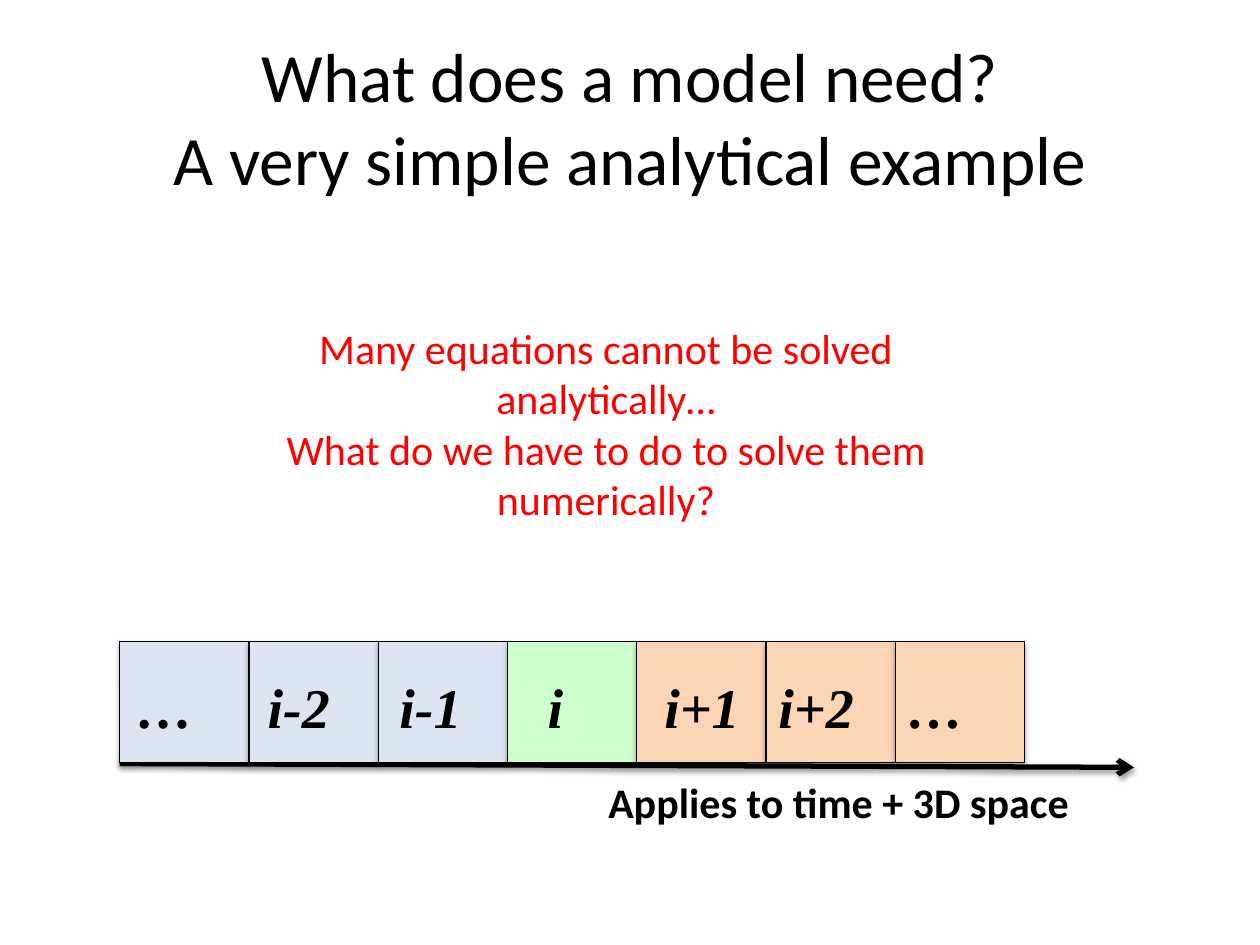
from copy import deepcopy

from pptx import Presentation
from pptx.dml.color import RGBColor
from pptx.enum.shapes import MSO_CONNECTOR, MSO_SHAPE
from pptx.enum.text import MSO_ANCHOR, PP_ALIGN
from pptx.oxml import parse_xml
from pptx.oxml.ns import nsdecls, qn
from pptx.util import Inches, Pt

BLACK = RGBColor(0x00, 0x00, 0x00)
RED = RGBColor(0xFF, 0x00, 0x00)
PALE_BLUE = RGBColor(0xDC, 0xE6, 0xF2)
PALE_GREEN = RGBColor(0xCC, 0xFF, 0xCC)
PALE_ORANGE = RGBColor(0xFC, 0xD5, 0xB5)

TITLE_FORMAT = {"name": "Calibri", "size": Pt(39.6)}
QUESTION_FORMAT = {"name": "Calibri", "size": Pt(24)}
CAPTION_FORMAT = {"name": "Calibri", "size": Pt(24), "bold": True}
INDEX_FORMAT = {"name": "Times New Roman", "size": Pt(32), "bold": True, "italic": True}

GRID_LEFT, GRID_TOP = 0.95, 5.09
COLUMN_WIDTH, ROW_HEIGHT = 1.026, 0.96
LABEL_DROP = 0.2

CELLS = [
    ("…", PALE_BLUE, 0.04, 0.8),
    ("i-2", PALE_BLUE, 0.05, 0.85),
    ("i-1", PALE_BLUE, 0.07, 0.85),
    ("i", PALE_GREEN, 0.22, 0.48),
    ("i+1", PALE_ORANGE, 0.12, 0.96),
    ("i+2", PALE_ORANGE, 0, 0.96),
    ("…", PALE_ORANGE, 0, 0.8),
]


def column_left(column):
    return GRID_LEFT + column * COLUMN_WIDTH


def format_paragraph(para, values, color, align):
    para.alignment = align
    for span in para.runs:
        for name, value in values.items():
            setattr(span.font, name, value)
        span.font.color.rgb = color
    for line_break in para._p.findall(qn("a:br")):
        line_break.append(deepcopy(para.runs[0]._r.rPr))


def add_shadow(shape, opacity, distance):
    properties = shape._element.spPr
    for effects in properties.findall(qn("a:effectLst")):
        properties.remove(effects)
    properties.append(parse_xml(
        f'<a:effectLst {nsdecls("a")}>'
        f'<a:outerShdw blurRad="{Pt(3.1)}" dist="{Pt(distance)}" dir="5400000" rotWithShape="0">'
        f'<a:srgbClr val="{BLACK}"><a:alpha val="{opacity * 1000}"/></a:srgbClr>'
        "</a:outerShdw></a:effectLst>"))


def set_title(slide, text):
    title = slide.shapes.title
    title.left, title.top, title.width, title.height = map(Inches, (0.5, 0.3, 9, 1.25))
    frame = title.text_frame
    frame.vertical_anchor = MSO_ANCHOR.MIDDLE
    frame.text = text
    format_paragraph(frame.paragraphs[0], TITLE_FORMAT, BLACK, PP_ALIGN.CENTER)


def add_text(slide, area, text, values, color=BLACK, align=PP_ALIGN.LEFT):
    box = slide.shapes.add_textbox(*map(Inches, area))
    frame = box.text_frame
    frame.word_wrap = True
    frame.text = text
    for para in frame.paragraphs:
        format_paragraph(para, values, color, align)


def add_axis(slide, start, end):
    axis = slide.shapes.add_connector(MSO_CONNECTOR.STRAIGHT, *map(Inches, start + end))
    axis.line.color.rgb = BLACK
    axis.line.width = Pt(3)
    axis.line._get_or_add_ln().append(parse_xml(f'<a:tailEnd {nsdecls("a")} type="arrow"/>'))
    add_shadow(axis, 38, 1.6)


def add_cell(slide, column, color):
    area = (column_left(column), GRID_TOP, COLUMN_WIDTH, ROW_HEIGHT)
    cell = slide.shapes.add_shape(MSO_SHAPE.RECTANGLE, *map(Inches, area))
    cell.fill.solid()
    cell.fill.fore_color.rgb = color
    cell.line.color.rgb = BLACK
    cell.line.width = Pt(0.75)
    add_shadow(cell, 35, 1.8)


def main():
    deck = Presentation()
    deck.slide_width, deck.slide_height = Inches(10), Inches(7.5)
    slide = deck.slides.add_slide(deck.slide_layouts[5])
    set_title(slide, "What does a model need?\vA very simple analytical example")
    add_text(
        slide, (1.71, 2.51, 6.2, 1.72),
        "Many equations cannot be solved analytically…\n"
        "What do we have to do to solve them numerically?",
        QUESTION_FORMAT, RED, PP_ALIGN.CENTER)
    add_axis(slide, (GRID_LEFT, 6.06), (9, 6.09))
    for column, (_, color, _, _) in enumerate(CELLS):
        add_cell(slide, column, color)
    for column, (label, _, inset, width) in enumerate(CELLS):
        area = (column_left(column) + inset, GRID_TOP + LABEL_DROP, width, 0.64)
        add_text(slide, area, label, INDEX_FORMAT)
    add_text(slide, (4.73, 6.11, 3.9, 0.5), "Applies to time + 3D space", CAPTION_FORMAT)
    deck.save("out.pptx")


if __name__ == "__main__":
    main()
